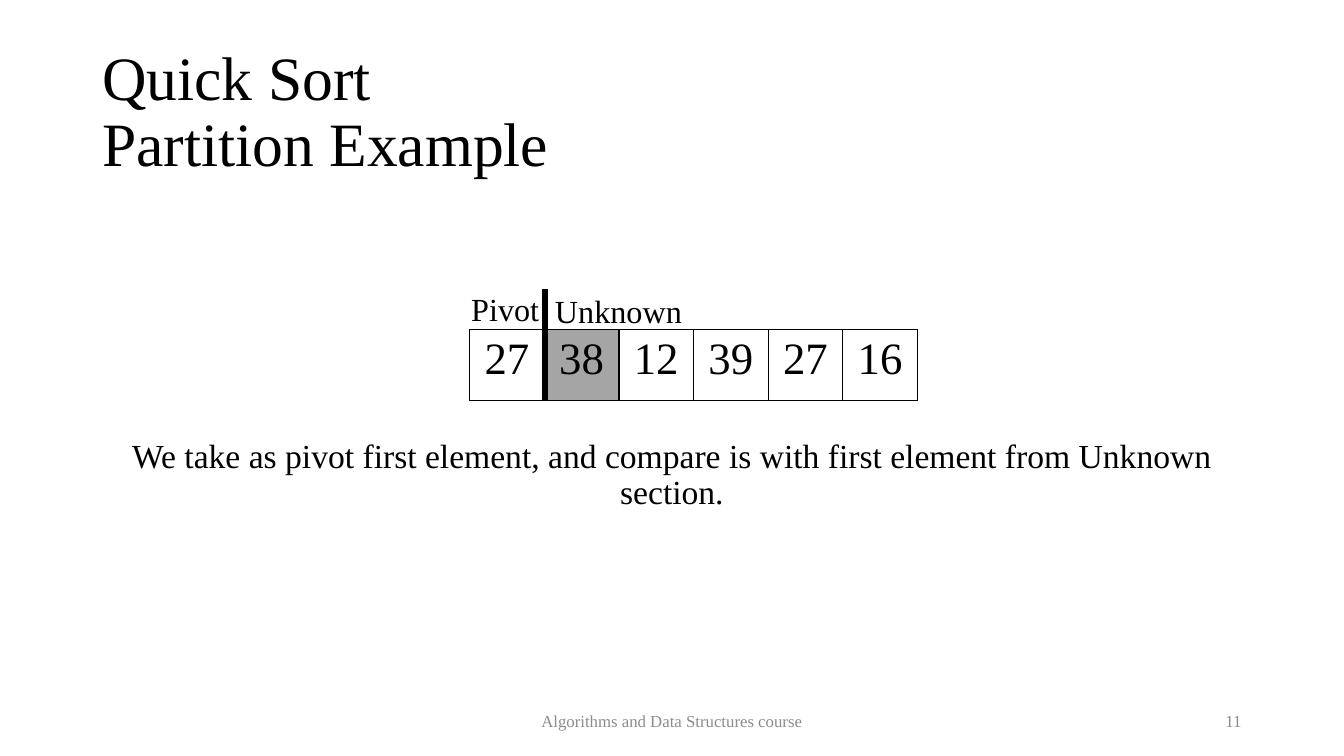
from lxml import etree
from pptx import Presentation
from pptx.dml.color import RGBColor
from pptx.enum.shapes import MSO_CONNECTOR
from pptx.enum.text import MSO_ANCHOR, PP_ALIGN
from pptx.oxml.ns import qn
from pptx.util import Pt

LEFT, CENTER, RIGHT = PP_ALIGN.LEFT, PP_ALIGN.CENTER, PP_ALIGN.RIGHT
TOP, MIDDLE = MSO_ANCHOR.TOP, MSO_ANCHOR.MIDDLE
STRAIGHT = MSO_CONNECTOR.STRAIGHT
FONT = "Times New Roman"
BLACK, GRAY, SHADE = "000000", "8C8C8C", "A5A5A5"


def color(value):
    return RGBColor.from_string(value)


def write(tf, text, size=24, fill=BLACK, align=LEFT, spacing=1.0):
    for i, line in enumerate(text.split("\n")):
        p = tf.add_paragraph() if i else tf.paragraphs[0]
        p.alignment = align
        p.line_spacing = spacing
        r = p.add_run()
        r.text = line
        r.font.name = FONT
        r.font.size = Pt(size)
        r.font.color.rgb = color(fill)


def add_text(s, box, text, anchor=TOP, **fmt):
    tf = s.shapes.add_textbox(*map(Pt, box)).text_frame
    tf.word_wrap = True
    tf.vertical_anchor = anchor
    write(tf, text, **fmt)


def border_cell(cell):
    tcPr = cell._tc.get_or_add_tcPr()
    for i, side in enumerate(("lnL", "lnR", "lnT", "lnB")):
        ln = etree.Element(qn(f"a:{side}"), w=str(Pt(1)))
        fill = etree.SubElement(ln, qn("a:solidFill"))
        etree.SubElement(fill, qn("a:srgbClr"), val=BLACK)
        tcPr.insert(i, ln)


def add_array(s, box, values, current):
    x, y, w, h = box
    table = s.shapes.add_table(1, len(values), *map(Pt, box)).table
    table.first_row = table.horz_banding = False
    table.rows[0].height = Pt(h)
    for i, value in enumerate(values):
        table.columns[i].width = Pt(w / len(values))
        cell = table.cell(0, i)
        write(cell.text_frame, str(value), size=32, align=CENTER)
        if i == current:
            cell.fill.solid()
            cell.fill.fore_color.rgb = color(SHADE)
        else:
            cell.fill.background()
        border_cell(cell)


def add_divider(s, x, top, bottom):
    line = s.shapes.add_connector(STRAIGHT, Pt(x), Pt(bottom), Pt(x), Pt(top))
    line.line.color.rgb = color(BLACK)
    line.line.width = Pt(4)
    etree.SubElement(line._element.spPr, qn("a:effectLst"))


def add_partition(s, box, values):
    x, y, w, h = box
    split = x + w / len(values) + 0.5
    add_array(s, box, values, current=1)
    add_divider(s, split, y - 29, y + h)
    add_text(s, (x - 6, y - 32.5, 79, 36), "Pivot", size=23)
    add_text(s, (split, y - 31, 147, 35), "Unknown", size=23)


def add_footer(s, box, text, number):
    x, y, w, h = box
    add_text(s, (x + (w - 324) / 2, y, 324, h), text, anchor=MIDDLE,
             size=12, fill=GRAY, align=CENTER)
    add_text(s, (x + w - 216, y, 216, h), number, anchor=MIDDLE,
             size=12, fill=GRAY, align=RIGHT)


def main():
    prs = Presentation()
    prs.slide_width, prs.slide_height = Pt(960), Pt(540)
    s = prs.slides.add_slide(prs.slide_layouts[6])
    add_partition(s, (335.5, 235.5, 319.8, 50.4), [27, 38, 12, 39, 27, 16])
    add_text(s, (66, 29, 828, 104), "Quick Sort\nPartition Example",
             anchor=MIDDLE, size=44, spacing=0.9)
    add_text(s, (66, 310.5, 828, 184),
             "We take as pivot first element, and compare is with first "
             "element from Unknown section.", align=CENTER, spacing=0.9)
    add_footer(s, (66, 500.5, 828, 29),
               "Algorithms and Data Structures course", "11")
    prs.save("out.pptx")


if __name__ == "__main__":
    main()
